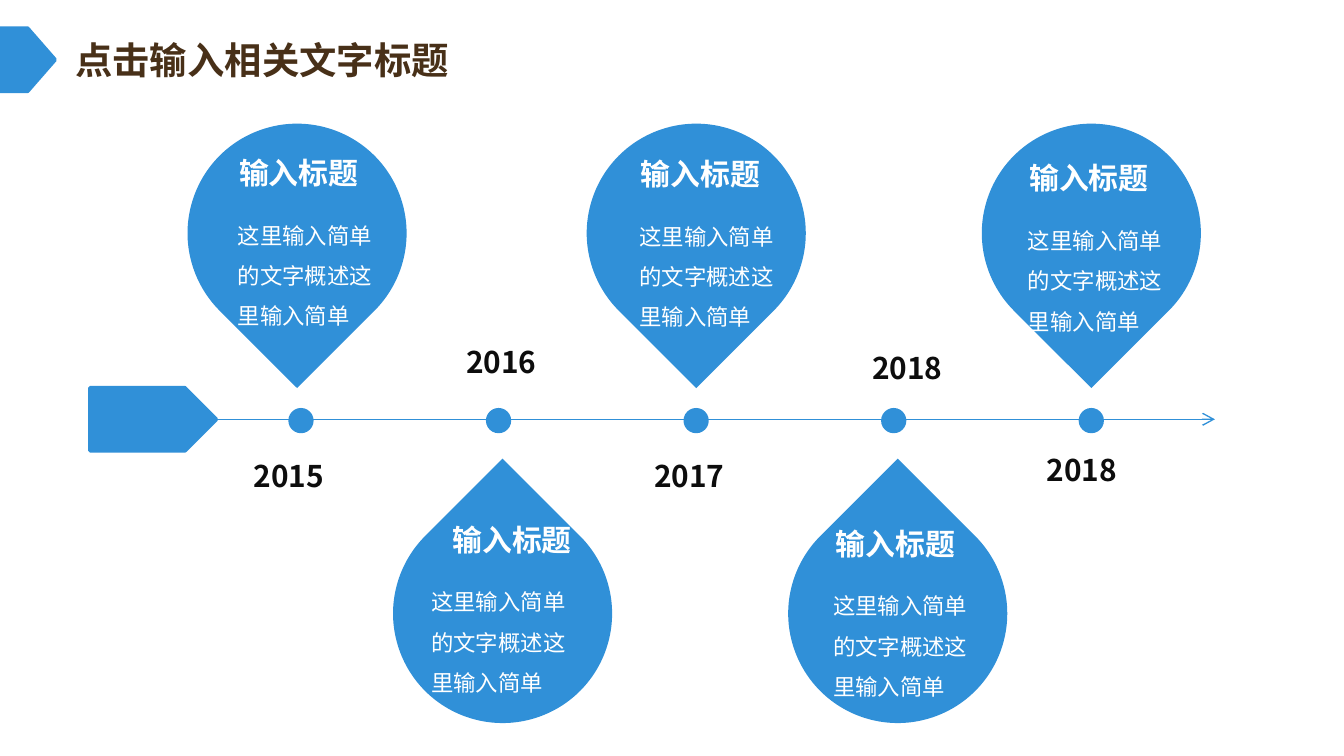
"""Build a five-stop timeline slide with teardrop callouts."""
from pptx import Presentation
from pptx.dml.color import RGBColor
from pptx.enum.shapes import MSO_CONNECTOR, MSO_SHAPE
from pptx.enum.text import MSO_ANCHOR, MSO_AUTO_SIZE, PP_ALIGN
from pptx.oxml.ns import qn
from pptx.util import Inches, Pt
from lxml.etree import SubElement

TITLE = "点击输入相关文字标题"
HEAD = "输入标题"
BODY = "这里输入简单的文字概述这里输入简单"
STOPS = [
    {"year": ("2015", -0.45, 3.36), "drop": -0.03, "head": (-0.56, 1.10), "body": -0.57},
    {"year": ("2016", -0.34, 2.51), "drop": 0.03, "head": (-0.44, 3.83), "body": -0.60},
    {"year": ("2017", -0.41, 3.36), "drop": 0, "head": (-0.51, 1.11), "body": -0.52},
    {"year": ("2018", -0.26, 2.55), "drop": 0.03, "head": (-0.53, 3.86), "body": -0.55},
    {"year": ("2018", -0.43, 3.31), "drop": 0, "head": (-0.56, 1.14), "body": -0.57},
]
BLUE, NOTO = "3090D8", "Noto Sans CJK SC"
WIDTH = 10
HEIGHT = WIDTH * 9 / 16
FIRST, STEP, AXIS = 2.24, 1.47, 3.12
DROP, DOT, TAG = 1.63, 0.16, 0.47
ROWS = [(0.92, 135), (3.75, 315)]
BIG = {"size": Pt(20), "name": NOTO, "bold": True}
BOLD = {"size": Pt(16), "name": NOTO, "bold": True}
THIN = {"size": Pt(12), "name": "Calibri", "bold": False}


def tint(hue):
    return RGBColor.from_string(hue)


def place(*box):
    return [Inches(n) for n in box]


def write(box, text, form, hue, wrap=True, gap=None):
    frame = box.text_frame
    look = {"word_wrap": wrap, "vertical_anchor": MSO_ANCHOR.TOP,
            "auto_size": MSO_AUTO_SIZE.SHAPE_TO_FIT_TEXT}
    for key, val in look.items():
        setattr(frame, key, val)
    para = frame.paragraphs[0]
    para.alignment = PP_ALIGN.LEFT
    if gap:
        para.line_spacing = gap
    run = para.add_run()
    run.text = text
    for key, val in form.items():
        setattr(run.font, key, val)
    run.font.color.rgb = tint(hue)
    if form["name"] == NOTO:
        SubElement(run.font._element, qn("a:ea"), typeface=NOTO)


def label(slide, box, *args, **opts):
    write(slide.shapes.add_textbox(*place(*box)), *args, **opts)


def draw(slide, kind, box, edge=True):
    shape = slide.shapes.add_shape(kind, *place(*box))
    shape.shadow.inherit = False
    shape.fill.solid()
    shape.fill.fore_color.rgb = tint(BLUE)
    if edge:
        shape.line.color.rgb = tint(BLUE)
        shape.line.width = Pt(2)
    else:
        shape.line.fill.background()
    return shape


def axis(slide, tag):
    line = slide.shapes.add_connector(
        MSO_CONNECTOR.STRAIGHT, *place(1.61, AXIS, 9.04, AXIS))
    line.begin_connect(tag, 3)
    line.end_y = line.begin_y
    line.line.color.rgb = tint(BLUE)
    line.line.width = Pt(0.75)
    SubElement(line.line._get_or_add_ln(), qn("a:tailEnd"), type="arrow")
    SubElement(line._element.spPr, qn("a:effectLst"))


def stop(slide, col, item):
    mid = FIRST + col * STEP
    top, turn = ROWS[col % 2]
    draw(slide, MSO_SHAPE.OVAL, (mid - DOT / 2, AXIS + 0.01 - DOT / 2, DOT, DOT))
    drop = draw(slide, MSO_SHAPE.TEAR,
                (mid + item["drop"] - DROP / 2, top, DROP, DROP), edge=False)
    drop.rotation = turn
    dx, high = item["head"]
    label(slide, (mid + item["body"], high + 0.4, 1.21, 1.01),
          BODY, THIN, "FFFFFF", gap=1.5)
    label(slide, (mid + dx, high, 1.72, 0.37), HEAD, BOLD, "FFFFFF")
    year, dx, high = item["year"]
    label(slide, (mid + dx, high, 0.86, 0.37), year, BOLD, "0D0D0D")


def main():
    deck = Presentation()
    deck.slide_width, deck.slide_height = place(WIDTH, HEIGHT)
    slide = deck.slides.add_slide(deck.slide_layouts[5])
    title = slide.shapes.title
    for key, val in zip(("left", "top", "width", "height"),
                        place(0.46, 0.23, 3.01, 0.44)):
        setattr(title, key, val)
    write(title, TITLE, BIG, "483018", wrap=False)
    draw(slide, MSO_SHAPE.PENTAGON, (0, 0.21, 0.41, TAG))
    tag = draw(slide, MSO_SHAPE.PENTAGON, (0.67, AXIS - TAG / 2, 0.94, TAG))
    axis(slide, tag)
    for col, item in enumerate(STOPS):
        stop(slide, col, item)
    deck.save("out.pptx")


if __name__ == "__main__":
    main()
